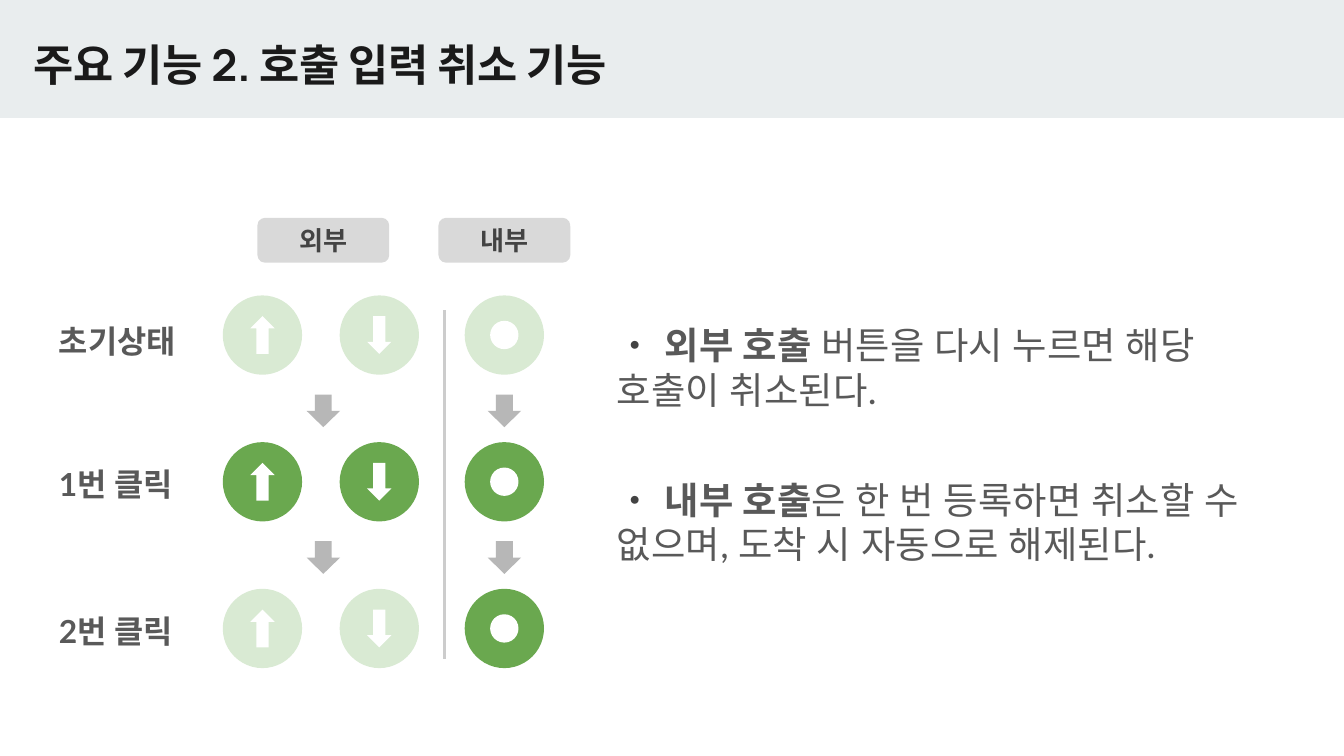
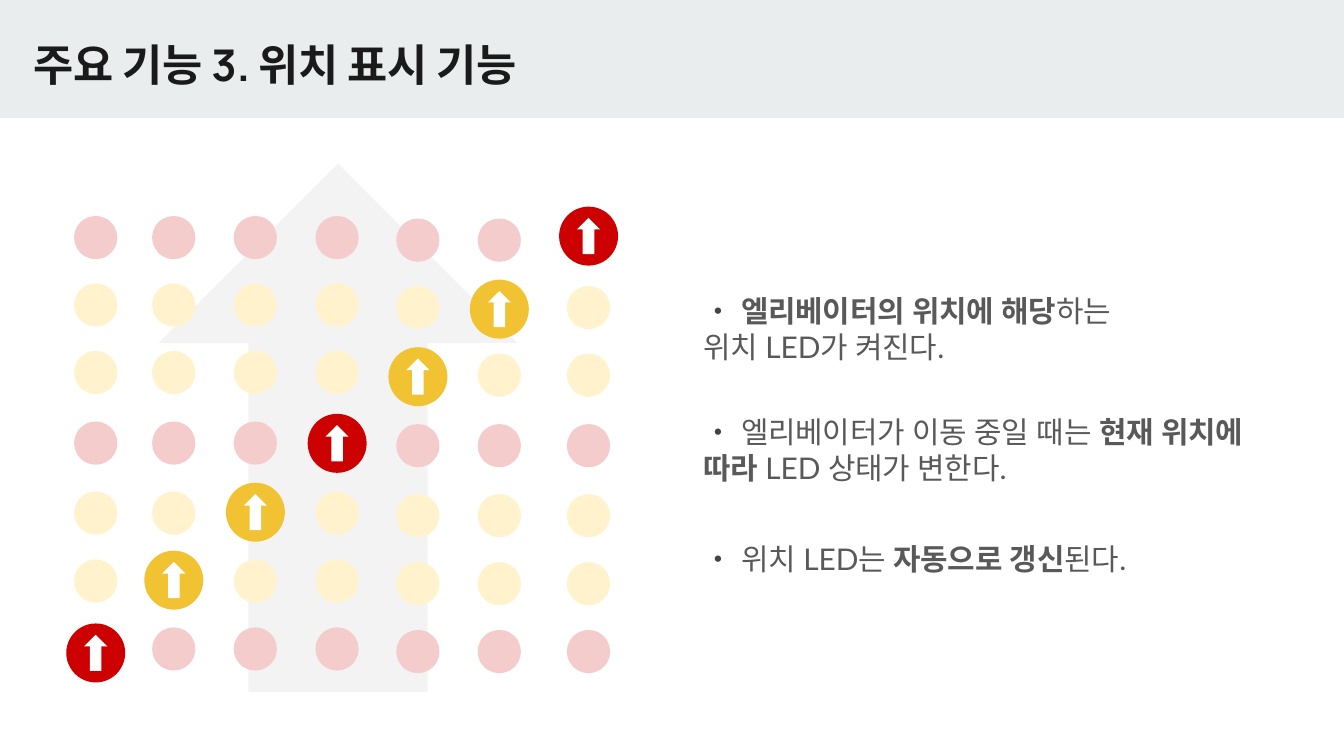
"""Builds two slides that explain the elevator's call-cancel and position-display functions."""
import lxml.etree
import pptx
import pptx.dml.color
import pptx.enum.shapes
import pptx.enum.text
import pptx.oxml.ns
import pptx.util

Pt = pptx.util.Pt
Shape = pptx.enum.shapes.MSO_SHAPE
Align = pptx.enum.text.PP_ALIGN
Anchor = pptx.enum.text.MSO_ANCHOR
qn = pptx.oxml.ns.qn

WHITE, INK, GRAY, DARK = "FFFFFF", "1A1A1A", "595959", "434343"
BAND, PILL, STEP, RULE, BACKDROP = "E9EDEE", "D9D9D9", "B7B7B7", "CCCCCC", "F3F3F3"
GREEN_OFF, GREEN_ON = "D9EAD3", "6AA84F"
RED_OFF, RED_ON = "F4CCCC", "CC0000"
YELLOW_OFF, YELLOW_ON = "FFF2CC", "F1C232"


def color(value):
    return pptx.dml.color.RGBColor.from_string(value)


def place(box, left, top, width, height):
    box.left, box.top, box.width, box.height = Pt(left), Pt(top), Pt(width), Pt(height)


def add_span(para, text, size, font, fill, bold):
    span = para.add_run()
    span.text = text
    span.font.size, span.font.bold = Pt(size), bold
    span.font.color.rgb = color(fill)
    span.font.name = font


def finish_xml(box, size):
    for properties in box.element.iter(qn("a:pPr")):
        properties.set("marL", "0")
        properties.set("indent", "0")
        lxml.etree.SubElement(properties, qn("a:buNone"))
    for latin in list(box.element.iter(qn("a:latin"))):
        for script in ("a:cs", "a:ea"):
            face = lxml.etree.Element(qn(script), typeface=latin.get("typeface"))
            latin.addnext(face)
    for line_break in box.element.iter(qn("a:br")):
        lxml.etree.SubElement(line_break, qn("a:rPr"), sz=str(size * 100))


def write_text(box, *texts, size, font="Lato", fill=GRAY, bold=False, bullet="",
               gaps=(), align=Align.LEFT, anchor=Anchor.TOP):
    """Write one paragraph per text; parts between asterisks turn bold."""
    frame = box.text_frame
    frame.word_wrap = True
    frame.auto_size = pptx.enum.text.MSO_AUTO_SIZE.NONE
    frame.vertical_anchor = anchor
    frame.margin_left = frame.margin_right = Pt(7.2)
    frame.margin_top = frame.margin_bottom = Pt(7.2)
    for index, text in enumerate(texts):
        para = frame.add_paragraph() if index else frame.paragraphs[0]
        para.alignment = align
        para.space_before = Pt(gaps[index - 1] if index else 0)
        if bullet:
            add_span(para, bullet, size, "Arial", DARK, False)
        for part, words in enumerate(text.split("*")):
            for line, piece in enumerate(words.split("\n")):
                if line:
                    para.add_line_break()
                if piece:
                    add_span(para, piece, size, font, fill, bold or part % 2 == 1)
    finish_xml(box, size)


def add_centered(slide, kind, x, y, width, height, fill, adjust=None):
    box = slide.shapes.add_shape(kind, Pt(x - width / 2), Pt(y - height / 2),
                                 Pt(width), Pt(height))
    box.shadow.inherit = False
    box.fill.solid()
    box.fill.fore_color.rgb = color(fill)
    box.line.fill.background()
    if adjust is not None:
        box.adjustments[0] = adjust
    return box


def add_disc(slide, x, y, diameter, fill):
    return add_centered(slide, Shape.OVAL, x, y, diameter, diameter, fill)


def add_rule(slide, x, top, bottom):
    rule = slide.shapes.add_connector(pptx.enum.shapes.MSO_CONNECTOR.STRAIGHT,
                                      Pt(x), Pt(top), Pt(x), Pt(bottom))
    rule.line.color.rgb = color(RULE)
    rule.line.width = Pt(1.5)
    lxml.etree.SubElement(rule.element.spPr, qn("a:effectLst"))


def add_label(slide, text, top, width):
    box = slide.shapes.add_textbox(Pt(24.5), Pt(top), Pt(width), Pt(29))
    write_text(box, text, size=17, bold=True)


def add_pill(slide, text, x):
    pill = add_centered(slide, Shape.ROUNDED_RECTANGLE, x, 128.7, 70.6, 24, PILL, 0.167)
    write_text(pill, text, size=14, fill=DARK, bold=True,
               align=Align.CENTER, anchor=Anchor.MIDDLE)


def add_page(deck, title):
    slide = deck.slides.add_slide(deck.slide_layouts[1])
    place(slide.shapes.title, 10.8, 13, 605.5, 42.5)
    write_text(slide.shapes.title, title, size=23.4, font="Manrope", fill=INK, bold=True)
    return slide


def add_list(slide, area, *texts, size, gaps):
    body = slide.placeholders[1]
    place(body, *area)
    write_text(body, *texts, size=size, bullet="・ ", gaps=gaps)


def move_band_to_layout(slide):
    band = add_centered(slide, Shape.RECTANGLE, 360, 31.6, 720, 63.2, BAND)
    slide.slide_layout.shapes.element.insert(2, band.element)


def add_call_buttons(slide):
    up_x, down_x, inside_x, outside_x = 140.6, 203.2, 270.2, 173.2
    first_y, pitch = 179.5, 78.6
    states = [(GREEN_OFF, GREEN_OFF), (GREEN_ON, GREEN_ON), (GREEN_OFF, GREEN_ON)]
    for row, (outside, inside) in enumerate(states):
        y = first_y + row * pitch
        for x, kind in ((up_x, Shape.UP_ARROW), (down_x, Shape.DOWN_ARROW)):
            add_disc(slide, x, y, 42.5, outside)
            add_centered(slide, kind, x, y, 13, 20.2, WHITE)
        add_disc(slide, inside_x, y, 42.5, inside)
        add_disc(slide, inside_x, y, 15.2, WHITE)
        if row:
            for x in (outside_x, inside_x):
                add_centered(slide, Shape.DOWN_ARROW, x, y - 38, 18, 17.5, STEP)
    add_rule(slide, 238.2, 166.3, 352.8)
    add_pill(slide, "외부", outside_x)
    add_pill(slide, "내부", inside_x)


def add_position_lights(slide):
    columns = [51.3, 93.1, 136.8, 180.6, 223.9, 267.5, 315.3]
    rows = [127.3, 163.4, 199.6, 237.4, 274.9, 311.3, 347.7]
    lit_rows = [349.8, 310.8, 274.4, 237.5, 201.8, 165.6, 126.5]
    last = len(rows) - 1
    add_centered(slide, Shape.UP_ARROW, 181.1, 229.2, 192.2, 283, BACKDROP)
    for column, x in enumerate(columns):
        drop = 1.4 if column > 3 else 0
        for row, y in enumerate(rows):
            off, on = (YELLOW_OFF, YELLOW_ON) if row % 3 else (RED_OFF, RED_ON)
            if row + column == last:
                add_disc(slide, x, lit_rows[column], 31.6, on)
                add_centered(slide, Shape.UP_ARROW, x, lit_rows[column], 12.4, 19.4, WHITE)
            else:
                add_disc(slide, x, y + drop, 23.2, off)


def main():
    deck = pptx.Presentation()
    deck.slide_width, deck.slide_height = Pt(720), Pt(405)

    cancel = add_page(deck, "주요 기능 2. 호출 입력 취소 기능")
    move_band_to_layout(cancel)
    add_list(cancel, (323.3, 165.6, 361, 146),
             "*외부 호출* 버튼을 다시 누르면 해당 호출이 취소된다.",
             "*내부 호출*은 한 번 등록하면 취소할 수 없으며, 도착 시 자동으로 해제된다.",
             size=20, gaps=(34.6,))
    add_call_buttons(cancel)
    for text, top, width in (("초기상태", 165, 85), ("1번 클릭", 242, 77), ("2번 클릭", 320.4, 77)):
        add_label(cancel, text, top, width)

    position = add_page(deck, "주요 기능 3. 위치 표시 기능")
    add_list(position, (369.4, 149.8, 317.5, 165),
             "*엘리베이터의 위치에 해당*하는 \n위치 LED가 켜진다.",
             "엘리베이터가 이동 중일 때는 *현재 위치에 따라* LED 상태가 변한다.",
             "위치 LED는 *자동으로 갱신*된다.",
             size=16, gaps=(26.2, 29.8))
    add_position_lights(position)

    deck.save("out.pptx")


if __name__ == "__main__":
    main()
